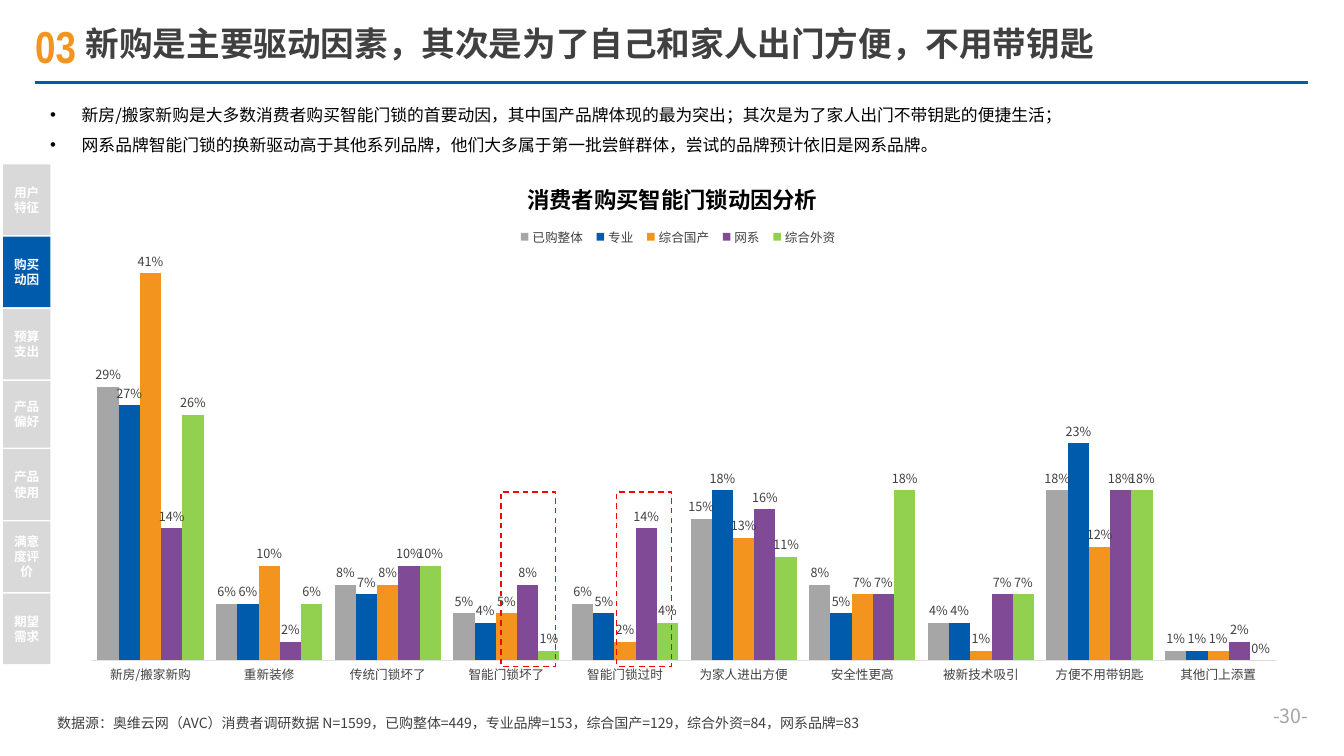
from dataclasses import dataclass
from lxml.etree import SubElement
from pptx import Presentation
from pptx.chart.data import CategoryChartData as ChartData
from pptx.dml.color import RGBColor as Rgb
from pptx.enum.chart import XL_CHART_TYPE as Kind, XL_LABEL_POSITION as Spot
from pptx.enum.chart import XL_LEGEND_POSITION as Side, XL_TICK_MARK as Tick
from pptx.enum.dml import MSO_LINE as Dash
from pptx.enum.shapes import MSO_CONNECTOR as Link, MSO_SHAPE as Shape
from pptx.enum.text import MSO_ANCHOR as Anchor, PP_ALIGN as Align
from pptx.oxml.ns import qn
from pptx.util import Pt


@dataclass(frozen=True)
class Theme:
    face: str = "Noto Sans CJK SC"
    slim: str = "Arial Narrow"
    blue: str = "005BAC"
    gold: str = "F2941D"
    plum: str = "804A96"
    lime: str = "92D050"
    red: str = "FF0000"
    ink: str = "404040"
    black: str = "000000"
    white: str = "FFFFFF"
    gray: str = "A6A6A6"
    pale: str = "D9D9D9"
    rule: str = "E2E2E2"
    num: int = 32
    title: int = 24
    head: int = 16
    page: int = 14
    body: int = 12
    note: int = 10
    tiny: int = 9


T = Theme()
TABS = ["用户特征", "购买动因", "预算支出", "产品偏好", "产品使用", "满意度评价", "期望需求"]
POINTS = [
    "新房/搬家新购是大多数消费者购买智能门锁的首要动因，其中国产品牌体现的最为突出；其次是为了家人出门不带钥匙的便捷生活；",
    "网系品牌智能门锁的换新驱动高于其他系列品牌，他们大多属于第一批尝鲜群体，尝试的品牌预计依旧是网系品牌。",
]
CATS = ["新房/搬家新购", "重新装修", "传统门锁坏了", "智能门锁坏了", "智能门锁过时",
        "为家人进出方便", "安全性更高", "被新技术吸引", "方便不用带钥匙", "其他门上添置"]
SERIES = [
    ("已购整体", T.gray, [.29, .06, .08, .05, .06, .15, .08, .04, .18, .01]),
    ("专业", T.blue, [.27, .06, .07, .04, .05, .18, .05, .04, .23, .01]),
    ("综合国产", T.gold, [.41, .10, .08, .05, .02, .13, .07, .01, .12, .01]),
    ("网系", T.plum, [.14, .02, .10, .08, .14, .16, .07, .07, .18, .02]),
    ("综合外资", T.lime, [.26, .06, .10, .01, .04, .11, .18, .07, .18, 0]),
]


def style(font, size, color, bold=False, face=T.face):
    font.name, font.size, font.bold = face, Pt(size), bold
    font.color.rgb = Rgb.from_string(color)
    SubElement(font._element, qn("a:ea")).set("typeface", face)


def write(para, text, size, color, bold=False, face=T.face):
    run = para.add_run()
    run.text = text
    style(run.font, size, color, bold, face)


def place(slide, box, anchor=Anchor.TOP, wrap=True):
    frame = slide.shapes.add_textbox(*map(Pt, box)).text_frame
    frame.word_wrap, frame.vertical_anchor = wrap, anchor
    return frame


def label(slide, box, text, size, color, align=Align.LEFT, anchor=Anchor.TOP, bold=False):
    para = place(slide, box, anchor).paragraphs[0]
    para.alignment = align
    write(para, text, size, color, bold)


def header(slide, box):
    x, y, w, h = box
    line = slide.shapes.add_connector(Link.STRAIGHT, Pt(x), Pt(y + h), Pt(x + w), Pt(y + h))
    line.line.color.rgb, line.line.width = Rgb.from_string(T.blue), Pt(2.25)
    SubElement(line._element.spPr, qn("a:effectLst"))
    frame = place(slide, (x - 7.2, y, 44.6, 46), Anchor.MIDDLE, False)
    write(frame.paragraphs[0], "03", T.num, T.gold, True, T.slim)
    title = slide.shapes.title
    title.left, title.top, title.width, title.height = map(Pt, (x + 28.8, y + 7.9, 746.6, 31))
    frame = title.text_frame
    frame.word_wrap, frame.vertical_anchor = True, Anchor.MIDDLE
    para = frame.paragraphs[0]
    para.alignment, para.line_spacing = Align.LEFT, 0.9
    write(para, "新购是主要驱动因素，其次是为了自己和家人出门方便，不用带钥匙", T.title, T.ink, True)


def bullets(slide, box):
    frame = place(slide, box)
    for i, text in enumerate(POINTS):
        para = frame.add_paragraph() if i else frame.paragraphs[0]
        para.line_spacing = 1.5
        props = para._p.get_or_add_pPr()
        props.set("marL", str(Pt(22.5)))
        props.set("indent", str(-Pt(22.5)))
        SubElement(props, qn("a:buFont")).set("typeface", "Arial")
        SubElement(props, qn("a:buChar")).set("char", "•")
        write(para, text, T.body, T.black)


def tabs(slide, box, active):
    x, y, w, h = box
    gap, short = 1.2, 47.5
    tall = (h - short - gap * (len(TABS) - 1)) / (len(TABS) - 1)
    for i, text in enumerate(TABS):
        size = short if text == "产品偏好" else tall
        tab = slide.shapes.add_shape(Shape.RECTANGLE, Pt(x), Pt(y), Pt(w), Pt(size))
        tab.shadow.inherit = False
        tab.fill.solid()
        tab.fill.fore_color.rgb = Rgb.from_string(T.blue if i == active else T.pale)
        tab.line.fill.background()
        frame = tab.text_frame
        frame.word_wrap, frame.vertical_anchor = True, Anchor.MIDDLE
        para = frame.paragraphs[0]
        para.alignment = Align.CENTER
        write(para, text, T.tiny, T.white, True)
        y += size + gap


def layout(part, spot, inner=False):
    old = part.find(qn("c:layout"))
    if old is None:
        old = part.makeelement(qn("c:layout"))
        first = part.find(qn("c:legendPos"))
        if first is None:
            part.insert(0, old)
        else:
            first.addnext(old)
    man = SubElement(old, qn("c:manualLayout"))
    rows = [("layoutTarget", "inner")] if inner else []
    rows += [("xMode", "edge"), ("yMode", "edge"), *zip("xywh", spot)]
    for tag, val in rows:
        SubElement(man, qn("c:" + tag)).set("val", str(val))


def graph(slide, box):
    data = ChartData(number_format="0%")
    data.categories = CATS
    for name, _, vals in SERIES:
        data.add_series(name, vals)
    chart = slide.shapes.add_chart(Kind.COLUMN_CLUSTERED, *map(Pt, box), data).chart
    style(chart.font, T.tiny, T.ink)
    chart.has_title = False
    chart.has_legend = True
    key = chart.legend
    key.position, key.include_in_layout = Side.TOP, False
    style(key.font, T.tiny, T.ink)
    layout(key._element, (.36, .055, .27, .055))
    layout(chart._chartSpace.chart.plotArea, (.02, .08, .96, .85), True)
    vals, cats = chart.value_axis, chart.category_axis
    vals.minimum_scale, vals.maximum_scale = 0, .45
    vals.has_major_gridlines = vals.visible = False
    cats.major_tick_mark = cats.minor_tick_mark = Tick.NONE
    cats.format.line.color.rgb = Rgb.from_string(T.rule)
    cats.format.line.width = Pt(0.75)
    style(cats.tick_labels.font, T.tiny, T.ink)
    plot = chart.plots[0]
    plot.gap_width, plot.overlap, plot.vary_by_categories = 59, 0, False
    for bars, (_, color, _) in zip(plot.series, SERIES):
        bars.format.fill.solid()
        bars.format.fill.fore_color.rgb = Rgb.from_string(color)
        tags = bars.data_labels
        tags.show_value, tags.position = True, Spot.OUTSIDE_END
        tags.number_format, tags.number_format_is_linked = "0%", False
        style(tags.font, T.tiny, T.ink)


def frames(slide, box):
    x, y, w, h = box
    wide = 39
    for left in (x, x + w - wide):
        mark = slide.shapes.add_shape(Shape.RECTANGLE, Pt(left), Pt(y), Pt(wide), Pt(h))
        mark.shadow.inherit = False
        mark.fill.background()
        mark.line.color.rgb = Rgb.from_string(T.red)
        mark.line.width, mark.line.dash_style = Pt(1), Dash.DASH


def main():
    deck = Presentation()
    deck.slide_width, deck.slide_height = Pt(960), Pt(540)
    slide = deck.slides.add_slide(deck.slide_layouts[5])
    for item in list(slide.placeholders):
        if item.placeholder_format.idx:
            item._element.getparent().remove(item._element)
    header(slide, (25.2, 9.4, 909.4, 49.6))
    label(slide, (725.8, 496.8, 216, 28.8), "-30-", T.page, T.gray, Align.RIGHT, Anchor.MIDDLE)
    bullets(slide, (28.8, 64, 842.4, 48.2))
    graph(slide, (47.5, 139.7, 882.7, 357.1))
    label(slide, (33.8, 506.9, 666, 19.4),
          "数据源：奥维云网（AVC）消费者调研数据 N=1599，已购整体=449，专业品牌=153，"
          "综合国产=129，综合外资=84，网系品牌=83", T.note, T.ink)
    label(slide, (329.8, 129.6, 301, 26.6), "消费者购买智能门锁动因分析",
          T.head, T.black, Align.CENTER, bold=True)
    frames(slide, (357.8, 351.4, 121.8, 124.6))
    tabs(slide, (2.2, 117.4, 33.8, 357.1), 1)
    deck.save("out.pptx")


if __name__ == "__main__":
    main()
